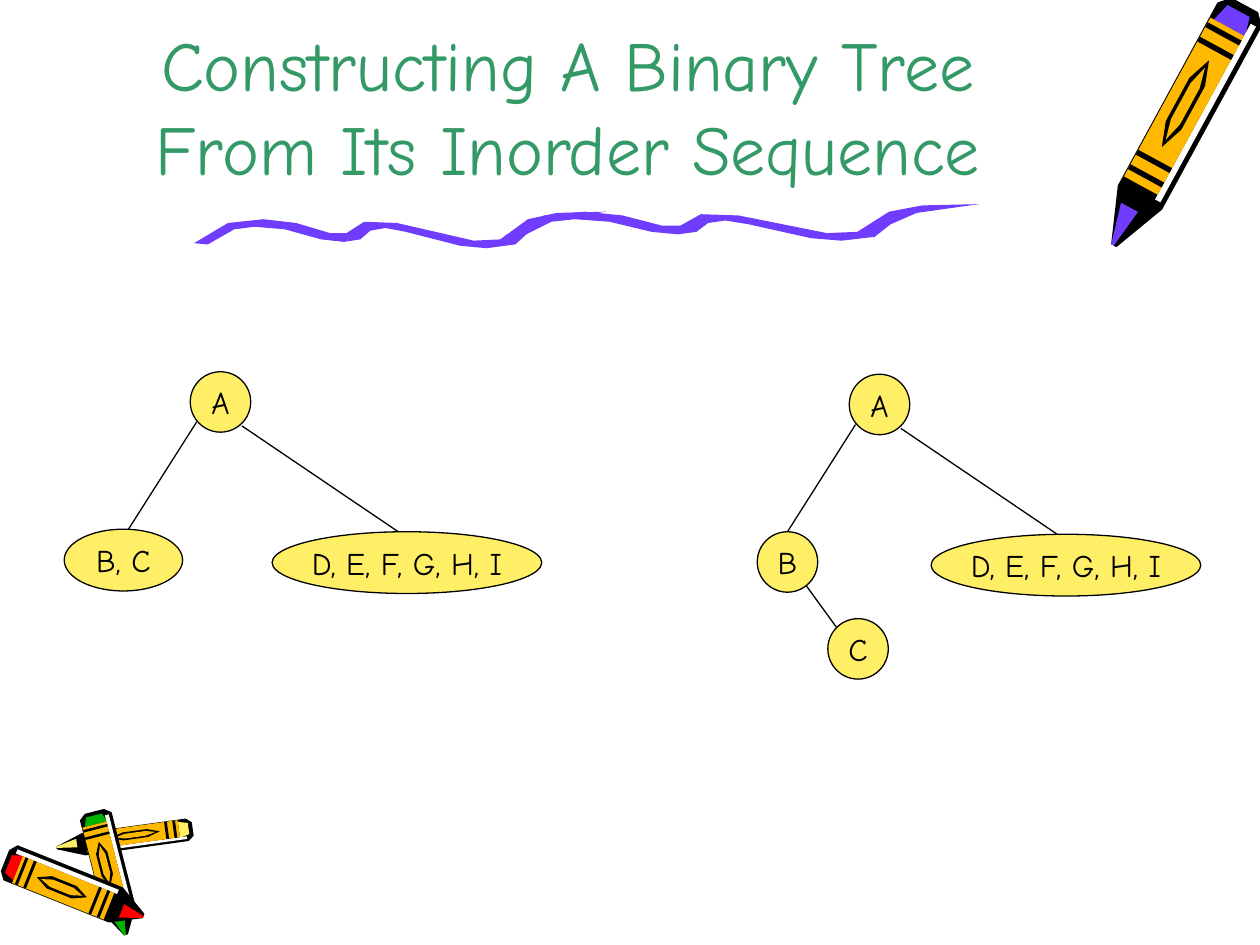
from pptx import Presentation
from pptx.dml.color import RGBColor
from pptx.enum.shapes import MSO_CONNECTOR, MSO_SHAPE
from pptx.enum.text import MSO_ANCHOR, PP_ALIGN
from pptx.oxml.ns import qn
from pptx.util import Inches, Pt

FONT = "Comic Neue"
BLACK = RGBColor(0x00, 0x00, 0x00)
WHITE = RGBColor(0xFF, 0xFF, 0xFF)
YELLOW = RGBColor(0xFF, 0xEF, 0x66)
ORANGE = RGBColor(0xFF, 0xB8, 0x00)
RED = RGBColor(0xFF, 0x00, 0x00)
LEAF = RGBColor(0x00, 0xB2, 0x00)
PURPLE = RGBColor(0x70, 0x3D, 0xFF)
TITLE_GREEN = RGBColor(0x33, 0x99, 0x66)

NODE_SIZE = 0.48
GROUP_HEIGHT = 0.49

# Underline outline in inches
WAVE = [(1.65, 1.94), (1.86, 1.82), (2.02, 1.8), (2.26, 1.82), (2.55, 1.9), (2.73, 1.92),
        (2.86, 1.9), (2.94, 1.83), (3.06, 1.81), (3.22, 1.84), (3.65, 1.95), (3.86, 1.97),
        (4.09, 1.94), (4.2, 1.84), (4.38, 1.75), (4.81, 1.68), (4.42, 1.69), (4.19, 1.74),
        (3.97, 1.9), (3.76, 1.91), (3.15, 1.77), (2.89, 1.76), (2.75, 1.85), (2.62, 1.85),
        (2.35, 1.77), (2.09, 1.74), (1.81, 1.77), (1.54, 1.93)]


def add_outline(slide, color, points):
    corners = [(Inches(x), Inches(y)) for x, y in points]
    builder = slide.shapes.build_freeform(*corners[0])
    builder.add_line_segments(corners[1:], close=True)
    shape = builder.convert_to_shape()
    shape.shadow.inherit = False
    shape.fill.solid()
    shape.fill.fore_color.rgb = color
    shape.line.fill.background()


def add_crayon(slide, tail, tip, width, color):
    """Parts are placed by share of the length (along) and of the width (across)."""
    run, rise = tip[0] - tail[0], tip[1] - tail[1]
    length = (run ** 2 + rise ** 2) ** 0.5

    def add_part(part_color, outline):
        add_outline(slide, part_color, [
            (tail[0] + along * run - across * width * rise / length,
             tail[1] + along * rise + across * width * run / length)
            for along, across in outline])

    def add_strip(part_color, start, end, low, high):
        add_part(part_color, [(start, low), (start, high), (end, high), (end, low)])

    # Silhouette, wax and highlight
    add_part(BLACK, [(0, -0.3), (0, 0.3), (0.04, 0.5), (0.8, 0.5),
                     (1, 0.06), (1, -0.06), (0.8, -0.5), (0.04, -0.5)])
    add_part(color, [(0.03, -0.2), (0.03, 0.3), (0.1, 0.4), (0.1, -0.3)])
    add_part(color, [(0.85, -0.1), (0.85, 0.28), (1, 0.06), (1, 0)])
    add_strip(WHITE, 0.05, 0.78, -0.4, -0.28)

    # Paper sleeve with its bands
    add_strip(ORANGE, 0.1, 0.76, -0.28, 0.48)
    for start in (0.12, 0.18, 0.65, 0.71):
        add_strip(BLACK, start, start + 0.02, -0.28, 0.48)

    # Oval label
    for label_color, reach, spread in ((BLACK, 0.18, 0.22), (ORANGE, 0.15, 0.13)):
        add_part(label_color, [(0.42 + along * reach, 0.1 + across * spread)
                               for along, across in ((-1, 0), (-0.5, 0.8), (0.5, 0.8),
                                                     (1, 0), (0.5, -0.8), (-0.5, -0.8))])


def add_line(slide, x1, y1, x2, y2):
    line = slide.shapes.add_connector(
        MSO_CONNECTOR.STRAIGHT, Inches(x1), Inches(y1), Inches(x2), Inches(y2))
    line.line.color.rgb = BLACK
    line.line.width = Pt(0.75)
    properties = line._element.spPr
    properties.append(properties.makeelement(qn("a:effectLst"), {}))


def set_text(shape, text, size, color, anchor, wrap):
    frame = shape.text_frame
    frame.word_wrap = wrap
    frame.vertical_anchor = anchor
    paragraph = frame.paragraphs[0]
    paragraph.text = text
    paragraph.alignment = PP_ALIGN.CENTER
    paragraph.font.name = FONT
    paragraph.font.size = Pt(size)
    paragraph.font.color.rgb = color


def add_node(slide, text, left, top, width=NODE_SIZE, height=NODE_SIZE):
    shape = slide.shapes.add_shape(
        MSO_SHAPE.OVAL, Inches(left), Inches(top), Inches(width), Inches(height))
    shape.shadow.inherit = False
    shape.fill.solid()
    shape.fill.fore_color.rgb = YELLOW
    shape.line.color.rgb = BLACK
    shape.line.width = Pt(0.75)
    set_text(shape, text, 18, BLACK, MSO_ANCHOR.MIDDLE, False)


def add_root(slide, left, top):
    """Root A, its two edges and the unsplit right subtree."""
    add_node(slide, "A", left, top)
    add_node(slide, "D, E, F, G, H, I", left + 0.65, top + 1.27, 2.14, GROUP_HEIGHT)
    add_line(slide, left + 0.05, top + 0.4, left - 0.49, top + 1.25)
    add_line(slide, left + 0.41, top + 0.43, left + 1.65, top + 1.27)


def add_title(slide, text):
    box = slide.shapes.add_textbox(Inches(0.75), Inches(0), Inches(7.51), Inches(1.55))
    set_text(box, text, 40, TITLE_GREEN, MSO_ANCHOR.BOTTOM, True)


def main():
    presentation = Presentation()
    presentation.slide_width, presentation.slide_height = Inches(10), Inches(7.5)
    slide = presentation.slides.add_slide(presentation.slide_layouts[6])

    # Crayons
    add_crayon(slide, (1.53, 6.58), (0.45, 6.73), 0.18, YELLOW)
    add_crayon(slide, (0.75, 6.44), (1, 7.42), 0.26, LEAF)
    add_crayon(slide, (0.04, 6.83), (1.14, 7.27), 0.3, RED)
    add_crayon(slide, (9.88, 0.04), (8.84, 1.95), 0.4, PURPLE)

    # Underline: one wave, then the same wave stretched and moved right
    add_outline(slide, PURPLE, WAVE)
    add_outline(slide, PURPLE, [(4.01 + (x - 1.54) * 1.15, y - 0.06) for x, y in WAVE])

    add_title(slide, "Constructing A Binary Tree From Its Inorder Sequence")

    # Left tree: left subtree still a group
    add_root(slide, 1.51, 2.95)
    add_node(slide, "B, C", 0.51, 4.2, 0.94, GROUP_HEIGHT)

    # Right tree: left subtree split into B and C
    add_root(slide, 6.74, 2.97)
    add_node(slide, "B", 6.01, 4.22)
    add_node(slide, "C", 6.57, 4.91)
    add_line(slide, 6.4, 4.65, 6.64, 4.98)

    presentation.save("out.pptx")


if __name__ == "__main__":
    main()
